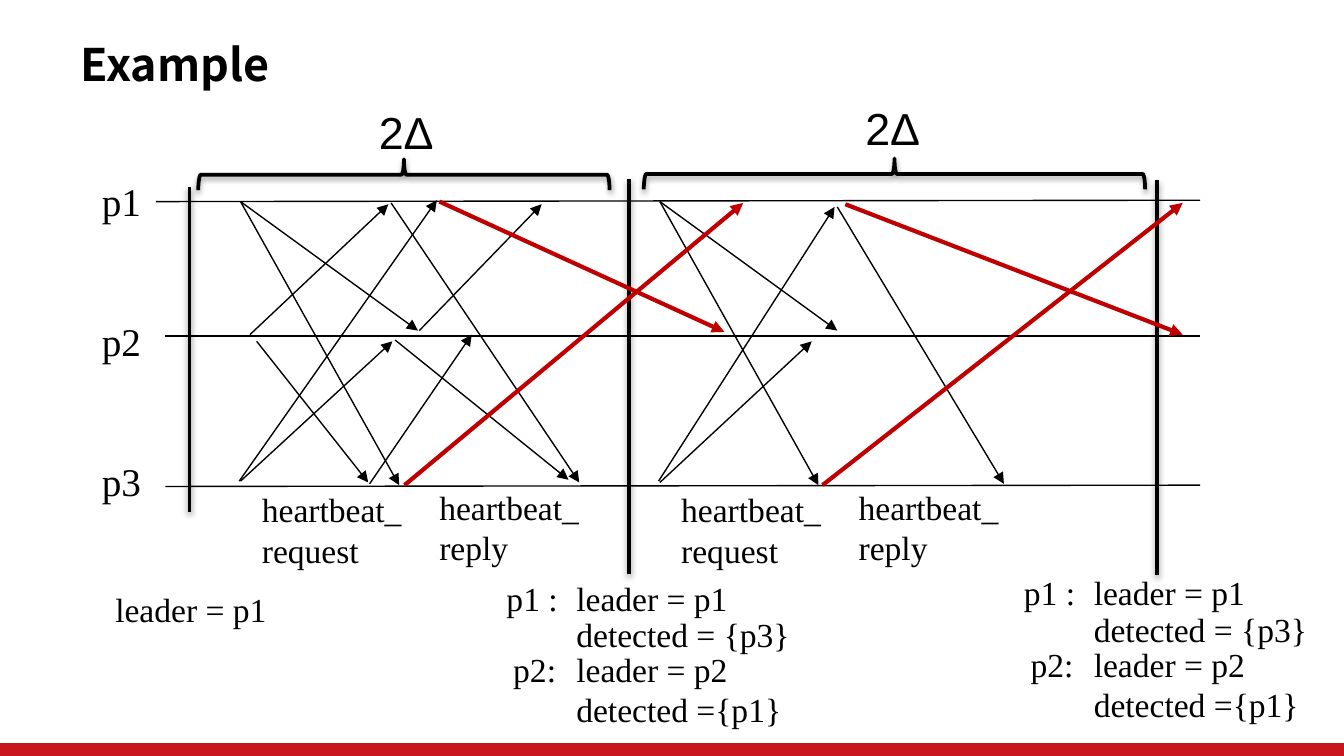
import pptx
import pptx.dml.color
import pptx.enum.shapes
import pptx.enum.text
import pptx.oxml
import pptx.oxml.ns
import pptx.util
from pptx.util import Inches

BLACK = "000000"
RED = "C00000"
SHADOW = (
    f'<a:outerShdw {pptx.oxml.ns.nsdecls("a")} blurRad="40000" dist="20000" dir="5400000" '
    'rotWithShape="0"><a:srgbClr val="000000"><a:alpha val="38000"/></a:srgbClr></a:outerShdw>'
)


def rgb(value):
    return pptx.dml.color.RGBColor.from_string(value)


def write_text(shape, text, size=18, font="Times New Roman", bold=False, wrap=False):
    frame = shape.text_frame
    frame.word_wrap = wrap
    frame.text = text
    for paragraph in frame.paragraphs:
        paragraph.alignment = pptx.enum.text.PP_ALIGN.LEFT
        paragraph.font.size = pptx.util.Pt(size)
        paragraph.font.name = font
        paragraph.font.bold = bold
        paragraph.font.color.rgb = rgb(BLACK)


# A 16:9 slide
presentation = pptx.Presentation()
presentation.slide_width = Inches(10)
presentation.slide_height = Inches(10) * 9 // 16
slide = presentation.slides.add_slide(presentation.slide_layouts[5])
shapes = slide.shapes

# Title and footer bar
title = shapes.title
title.left, title.top, title.width, title.height = map(Inches, (0.5, 0.23, 6.96, 0.49))
write_text(title, "Example", size=24, font="Noto Sans CJK SC", bold=True, wrap=True)
title.text_frame.vertical_anchor = pptx.enum.text.MSO_ANCHOR.MIDDLE
title.text_frame.auto_size = pptx.enum.text.MSO_AUTO_SIZE.NONE

footer_bar = shapes.add_shape(
    pptx.enum.shapes.MSO_SHAPE.RECTANGLE, Inches(0), Inches(5.53), Inches(10), Inches(0.1))
footer_bar.shadow.inherit = False
footer_bar.fill.solid()
footer_bar.fill.fore_color.rgb = rgb("C9151E")
footer_bar.line.fill.background()

# Lines: from x, from y, to x, to y
process_lines = [
    (1.16, 1.5, 8.93, 1.49),
    (1.23, 2.5, 8.93, 2.5),
    (1.23, 3.62, 8.93, 3.61),
]
period_bars = [
    (1.41, 1.39, 1.41, 3.81),
    (4.68, 1.33, 4.68, 4.27),
    (8.61, 1.34, 8.61, 4.28),
]
messages = [
    # first period, requests
    (1.79, 1.5, 3.11, 2.46),
    (1.79, 1.5, 2.97, 3.61),
    (1.86, 2.49, 2.89, 1.52),
    (1.91, 2.54, 2.74, 3.59),
    (1.79, 3.58, 2.92, 2.54),
    (1.78, 3.58, 3.25, 1.49),
    # first period, replies
    (2.91, 1.51, 4.31, 3.59),
    (2.75, 3.6, 3.51, 2.49),
    (3.12, 2.46, 4.03, 1.52),
    (2.94, 2.53, 4.23, 3.57),
    # second period
    (4.91, 1.5, 6.23, 2.46),
    (4.91, 1.5, 6.09, 3.61),
    (4.91, 3.59, 6.04, 2.54),
    (4.9, 3.58, 6.21, 1.54),
    (6.23, 1.54, 7.47, 3.6),
]
late_replies = [
    (3.27, 1.5, 5.39, 2.47),
    (6.29, 1.52, 8.8, 2.49),
    (3.01, 3.61, 5.53, 1.51),
    (6.12, 3.61, 8.8, 1.51),
]
line_groups = [
    # lines, colour, width, arrow, shadow
    (process_lines, BLACK, 0.75, False, False),
    (period_bars, BLACK, 2, False, True),
    (messages, BLACK, 0.75, True, False),
    (late_replies, RED, 2.25, True, False),
]
for lines, color, width, has_arrow, has_shadow in line_groups:
    for ends in lines:
        connector = shapes.add_connector(
            pptx.enum.shapes.MSO_CONNECTOR.STRAIGHT, *map(Inches, ends))
        connector.line.color.rgb = rgb(color)
        connector.line.width = pptx.util.Pt(width)
        properties = connector.element.spPr
        if has_arrow:
            outline = properties.find(pptx.oxml.ns.qn("a:ln"))
            outline.append(pptx.oxml.parse_xml(
                f'<a:tailEnd {pptx.oxml.ns.nsdecls("a")} type="triangle"/>'))
        effects = pptx.oxml.parse_xml(f'<a:effectLst {pptx.oxml.ns.nsdecls("a")}/>')
        if has_shadow:
            effects.append(pptx.oxml.parse_xml(SHADOW))
        properties.append(effects)

# Braces over the two periods, turned so that the tip points up
for left, top, length in [(2.89, -0.23, 3.06), (6.54, -0.57, 3.73)]:
    brace = shapes.add_shape(
        pptx.enum.shapes.MSO_SHAPE.LEFT_BRACE,
        Inches(left), Inches(top), Inches(0.23), Inches(length))
    brace.rotation = 90
    brace.fill.background()
    brace.line.color.rgb = rgb(BLACK)
    brace.line.width = pptx.util.Pt(2)
    brace.shadow.inherit = False
    effects = brace.element.spPr.find(pptx.oxml.ns.qn("a:effectLst"))
    effects.append(pptx.oxml.parse_xml(SHADOW))

# Labels: text, left, top, width, height, format
labels = [
    ("2Δ", 2.72, 0.73, 0.61, 0.5, {"size": 24, "font": "Arial"}),
    ("2Δ", 6.34, 0.7, 0.67, 0.5, {"size": 24, "font": "Arial", "wrap": True}),
    ("leader = p1", 0.76, 4.33, 1.34, 0.4, {}),
]
for index in range(3):
    labels.append((f"p{index + 1}", 0.66, 1.27 + 1.04 * index, 0.5, 0.45, {"size": 21}))
for left in (1.85, 4.97):
    labels += [
        ("heartbeat_\nrequest", left, 3.59, 1.25, 0.71, {}),
        ("heartbeat_\nreply", left + 1.32, 3.57, 1.25, 0.71, {}),
    ]
for left, top in [(3.67, 4.25), (7.52, 4.21)]:
    labels += [
        ("p1 :", left, top, 0.59, 0.4, {}),
        ("leader = p1", left + 0.52, top, 1.34, 0.4, {}),
        ("detected = {p3}", left + 0.52, top + 0.27, 1.81, 0.4, {}),
        ("p2:", left + 0.05, top + 0.53, 0.52, 0.4, {}),
        ("leader = p2\ndetected ={p1}", left + 0.52, top + 0.53, 1.74, 0.71, {}),
    ]
for text, left, top, width, height, text_format in labels:
    label = shapes.add_textbox(Inches(left), Inches(top), Inches(width), Inches(height))
    write_text(label, text, **text_format)

presentation.save("out.pptx")
